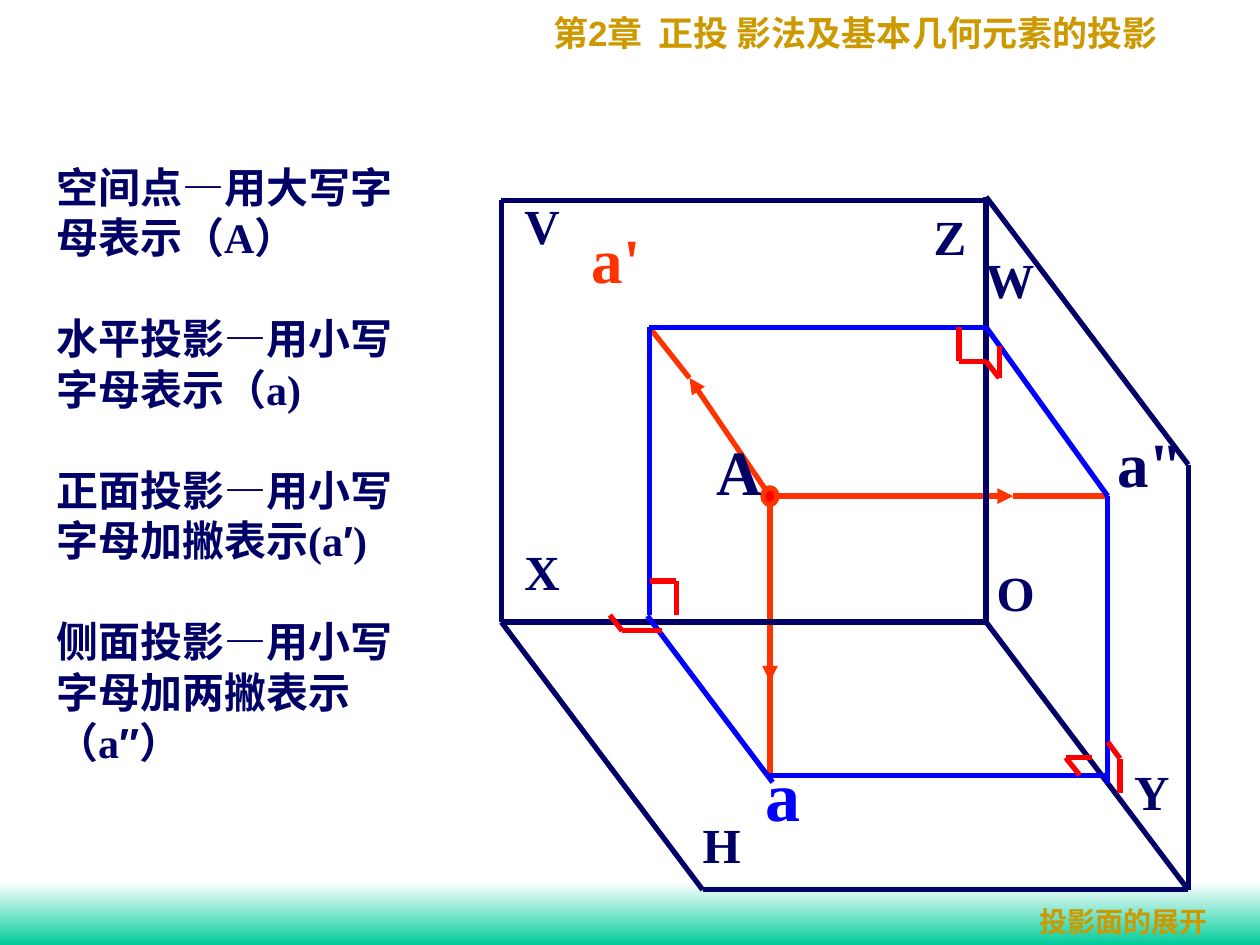
import pptx
import pptx.util
import pptx.dml.color
import pptx.enum.shapes
import pptx.oxml
import pptx.oxml.ns

Pt = pptx.util.Pt
RGBColor = pptx.dml.color.RGBColor
MSO_SHAPE = pptx.enum.shapes.MSO_SHAPE

WHITE = RGBColor(0xFF, 0xFF, 0xFF)
GREEN = RGBColor(0x00, 0xCC, 0x99)
GOLD = RGBColor(0xCC, 0x99, 0x00)
NAVY = RGBColor(0x00, 0x00, 0x66)
BLUE = RGBColor(0x00, 0x00, 0xFF)
ORANGE = RGBColor(0xFF, 0x33, 0x00)
RED = RGBColor(0xFF, 0x00, 0x00)
SERIF, SANS = "Times New Roman", "Arial"


def add_text(slide, box, paragraphs, size, color, wrap=True, gap=0):
    """Each paragraph is a list of (text, font name) runs."""
    frame = slide.shapes.add_textbox(*map(Pt, box)).text_frame
    frame.word_wrap = wrap
    for index, pieces in enumerate(paragraphs):
        paragraph = frame.paragraphs[0] if index == 0 else frame.add_paragraph()
        if index:
            paragraph.space_before = Pt(gap)
        for text, font_name in pieces:
            run = paragraph.add_run()
            run.text = text
            run.font.name = font_name
            run.font.size = Pt(size)
            run.font.bold = True
            run.font.color.rgb = color


def add_path(slide, origin, points, color, arrow=False):
    """Join successive points, given relative to origin, by straight lines."""
    left, top = origin
    for (x1, y1), (x2, y2) in zip(points, points[1:]):
        line = slide.shapes.add_connector(
            pptx.enum.shapes.MSO_CONNECTOR.STRAIGHT,
            Pt(left + x1), Pt(top + y1), Pt(left + x2), Pt(top + y2))
        line.line.color.rgb = color
        line.line.width = Pt(3)
        if arrow:
            pptx.oxml.ns.qn("a:tailEnd")
            line.line._get_or_add_ln().append(pptx.oxml.parse_xml(
                '<a:tailEnd %s type="triangle"/>' % pptx.oxml.ns.nsdecls("a")))
        line._element.spPr.append(pptx.oxml.parse_xml(
            "<a:effectLst %s/>" % pptx.oxml.ns.nsdecls("a")))


def add_footer_band(slide, box):
    band = slide.shapes.add_shape(MSO_SHAPE.RECTANGLE, *map(Pt, box))
    band.shadow.inherit = False
    band.line.fill.background()
    band.fill.gradient()
    band.fill.gradient_angle = 270
    for stop, color, position in zip(band.fill.gradient_stops, (WHITE, GREEN), (0, 1)):
        stop.color.rgb = color
        stop.position = position


def add_notation(slide, box):
    add_text(slide, box, [
        [("空间点—用大写字母表示（A）", SERIF)],
        [("水平投影—用小写字母表示（a)", SERIF)],
        [("正面投影—用小写字母加撇表示(a", SERIF), ("′", SANS), (")", SERIF)],
        [("侧面投影—用小写字母加两撇表示（a", SERIF), ("′′", SANS), ("）", SERIF)],
    ], 24, NAVY, gap=29)


def add_projection_diagram(slide, origin):
    left, top = origin
    # Corners of the projection planes
    x_end, z_end, center = (0, 241), (277, -2), (277, 241)
    x_front, y_end, w_corner = (115, 394), (392.5, 394), (392.5, 151)
    # Space point, its projections and their feet on the axes
    point = (153.5, 169)
    front, side, plan = (84.5, 72.5), (346.5, 169), (153.5, 328.5)
    foot_x, foot_y, foot_z = (84.5, 237), (346.5, 333.5), (277, 72.5)

    # Projecting rays: arrow to a middle point, then on to the projection
    for arrow_tip, restart, end in (
            ((107.5, 101.5), (107.5, 101.5), front),
            ((292.5, 169), (292.5, 169), side),
            ((153.5, 275), (153.5, 270.5), plan)):
        add_path(slide, origin, [point, arrow_tip], ORANGE, arrow=True)
        add_path(slide, origin, [restart, end], ORANGE)

    # Space point
    dot_w, dot_h = 8, 9.5
    dot = slide.shapes.add_shape(
        MSO_SHAPE.OVAL, Pt(left + point[0] - dot_w / 2),
        Pt(top + point[1] - dot_h / 2), Pt(dot_w), Pt(dot_h))
    dot.shadow.inherit = False
    dot.fill.solid()
    dot.fill.fore_color.rgb = RED
    dot.line.color.rgb = ORANGE
    dot.line.width = Pt(3)

    # Planes V, H and W
    for outline in (
            [z_end, center],
            [x_end, (0, 0), (277, 0)],
            [x_end, center, y_end],
            [x_end, x_front, y_end],
            [z_end, w_corner, y_end]):
        add_path(slide, origin, outline, NAVY)

    # Labels: text, left, top, width, height, size, colour
    for text, x, y, width, height, size, color in (
            ("A", 116, 129, 40, 50.5, 36, NAVY),
            ("O", 276, 203.5, 36, 41, 28, NAVY),
            ("X", 6, 191.5, 34.5, 41, 28, NAVY),
            ("Z", 240, 0, 33, 41, 28, NAVY),
            ("Y", 354.5, 317, 34.5, 41, 28, NAVY),
            ("V", 6, -6.5, 34.5, 41, 28, NAVY),
            ("H", 108, 347.5, 36, 41, 28, NAVY),
            ("W", 269.5, 24.5, 42.5, 41, 28, NAVY),
            ("a'", 44.5, 8, 42.5, 50.5, 36, ORANGE),
            ("a", 144, 311.5, 34.5, 55.5, 40, BLUE),
            ('a"', 345, 124.5, 52.5, 50.5, 36, NAVY)):
        add_text(slide, (left + x, top + y, width, height),
                 [[(text, SERIF)]], size, color, wrap=False)

    # Projection links
    add_path(slide, origin, [foot_x, front, foot_z, side, foot_y], BLUE)
    add_path(slide, origin, [plan, (346.5, 328.5)], BLUE)
    add_path(slide, origin, [(83.5, 237.5), (155, 332.5)], BLUE)

    # Right-angle marks
    for mark in (
            [(85, 217.5), (100, 217.5), (100, 237)],
            [(62, 237), (69, 246), (92, 246)],
            [(346.5, 309.5), (353.5, 319), (353.5, 338.5)],
            [(261.5, 72.5), (261.5, 92), (277, 92), (284.5, 101.5), (284.5, 83)],
            [(337.5, 318.5), (322.5, 318.5), (330.5, 328.5)]):
        add_path(slide, origin, mark, RED)


def main():
    deck = pptx.Presentation()
    deck.slide_width, deck.slide_height = Pt(720), Pt(540)
    slide = deck.slides.add_slide(deck.slide_layouts[6])
    add_footer_band(slide, (0, 504, 720, 36))
    # Chapter heading
    add_text(slide, (309, 3, 381, 31.5),
             [[("第", SERIF), ("2", SANS), ("章  正投 影法及基本几何元素的投影", SERIF)]],
             20, GOLD)
    add_projection_diagram(slide, (286.5, 114.5))
    add_notation(slide, (25, 88.5, 215.5, 353))
    # Next topic
    add_text(slide, (587, 513.5, 133, 26.5), [[("投影面的展开", SERIF)]], 16, GOLD)
    deck.save("out.pptx")


if __name__ == "__main__":
    main()
